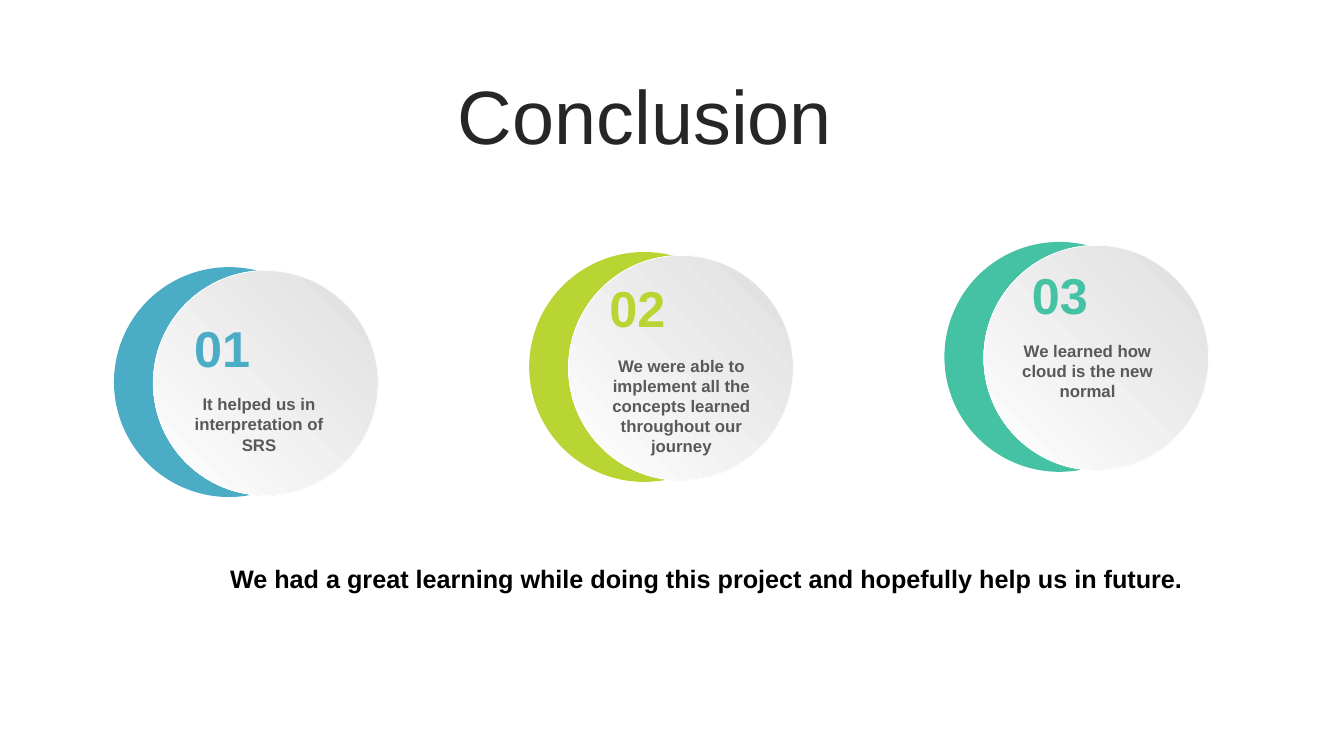
from pptx import Presentation
from pptx.dml.color import RGBColor
from pptx.enum.shapes import MSO_SHAPE
from pptx.enum.text import MSO_ANCHOR, MSO_AUTO_SIZE, PP_ALIGN
from pptx.util import Pt

OVAL = MSO_SHAPE.OVAL
CENTER = PP_ALIGN.CENTER
TOP, MIDDLE = MSO_ANCHOR.TOP, MSO_ANCHOR.MIDDLE
NO_FIT = MSO_AUTO_SIZE.NONE
TITLE_ONLY = 5

BLUE = RGBColor(0x4B, 0xAC, 0xC6)
LIME = RGBColor(0xB9, 0xD5, 0x33)
GREEN = RGBColor(0x45, 0xC1, 0xA4)
SILVER = RGBColor(0xDE, 0xDE, 0xDE)
WHITE = RGBColor(0xFF, 0xFF, 0xFF)
GRAY = RGBColor(0x59, 0x59, 0x59)
DARK = RGBColor(0x26, 0x26, 0x26)
BLACK = RGBColor(0, 0, 0)

FIRST_LEFT, PITCH = 81.4, 296.6
DISC, FACE = 164.2, 160.6
FACE_DX, FACE_DY = 28.1, 2.5

# colour, disc top, number, number position, text, text position and height
CONCLUSIONS = [
    (BLUE, 190.8, "01", (122.4, 223.2),
     "It helped us in interpretation of SRS", (122.4, 277.9, 51)),
    (LIME, 180, "02", (419, 194.4),
     "We were able to implement all the concepts learned throughout our journey",
     (424.1, 250.2, 80)),
    (GREEN, 172.8, "03", (720.7, 185),
     "We learned how cloud is the new normal", (714.2, 239.8, 51)),
]


def write(sp, text, size, color, bold=False, anchor=TOP, line_spacing=None):
    tf = sp.text_frame
    tf.word_wrap = True
    tf.auto_size = NO_FIT
    tf.vertical_anchor = anchor
    p = tf.paragraphs[0]
    p.alignment = CENTER
    p.line_spacing = line_spacing
    r = p.add_run()
    r.text = text
    r.font.name = "Arial"
    r.font.size = Pt(size)
    r.font.bold = bold
    r.font.color.rgb = color


def add_text(s, left, top, width, height, text, size, color):
    sp = s.shapes.add_textbox(Pt(left), Pt(top), Pt(width), Pt(height))
    write(sp, text, size, color, bold=True)


def add_circle(shapes, left, top, diameter):
    sp = shapes.add_shape(OVAL, Pt(left), Pt(top), Pt(diameter), Pt(diameter))
    sp.shadow.inherit = False
    return sp


def add_crescent(s, left, top, color):
    """Group a coloured disc with a shaded face that covers most of it."""
    group = s.shapes.add_group_shape()
    disc = add_circle(group.shapes, left, top, DISC)
    disc.fill.solid()
    disc.fill.fore_color.rgb = color
    disc.line.fill.background()

    face = add_circle(group.shapes, left + FACE_DX, top + FACE_DY, FACE)
    face.fill.gradient()
    face.fill.gradient_angle = 225
    for stop, shade, position in zip(face.fill.gradient_stops, (SILVER, WHITE), (0, 1)):
        stop.color.rgb = shade
        stop.position = position
    face.line.color.rgb = WHITE
    face.line.width = Pt(0.5)


def add_title(s, text):
    sp = s.shapes.title
    sp.left, sp.top, sp.width, sp.height = Pt(5), Pt(57), Pt(911.5), Pt(57)
    write(sp, text, 54, DARK, anchor=MIDDLE, line_spacing=0.9)


def main():
    prs = Presentation()
    prs.slide_width, prs.slide_height = Pt(960), Pt(540)
    s = prs.slides.add_slide(prs.slide_layouts[TITLE_ONLY])
    add_title(s, "Conclusion")
    for i, (color, top, number, number_at, text, text_at) in enumerate(CONCLUSIONS):
        add_crescent(s, FIRST_LEFT + i * PITCH, top, color)
        left, text_top, height = text_at
        add_text(s, left, text_top, 125.3, height, text, 12, GRAY)
        add_text(s, *number_at, 72.7, 51, number, 36, color)
    add_text(s, 145.4, 398.9, 718.6, 29, "We had a great learning while doing this "
             "project and hopefully help us in future.", 18, BLACK)
    prs.save("out.pptx")


if __name__ == "__main__":
    main()
